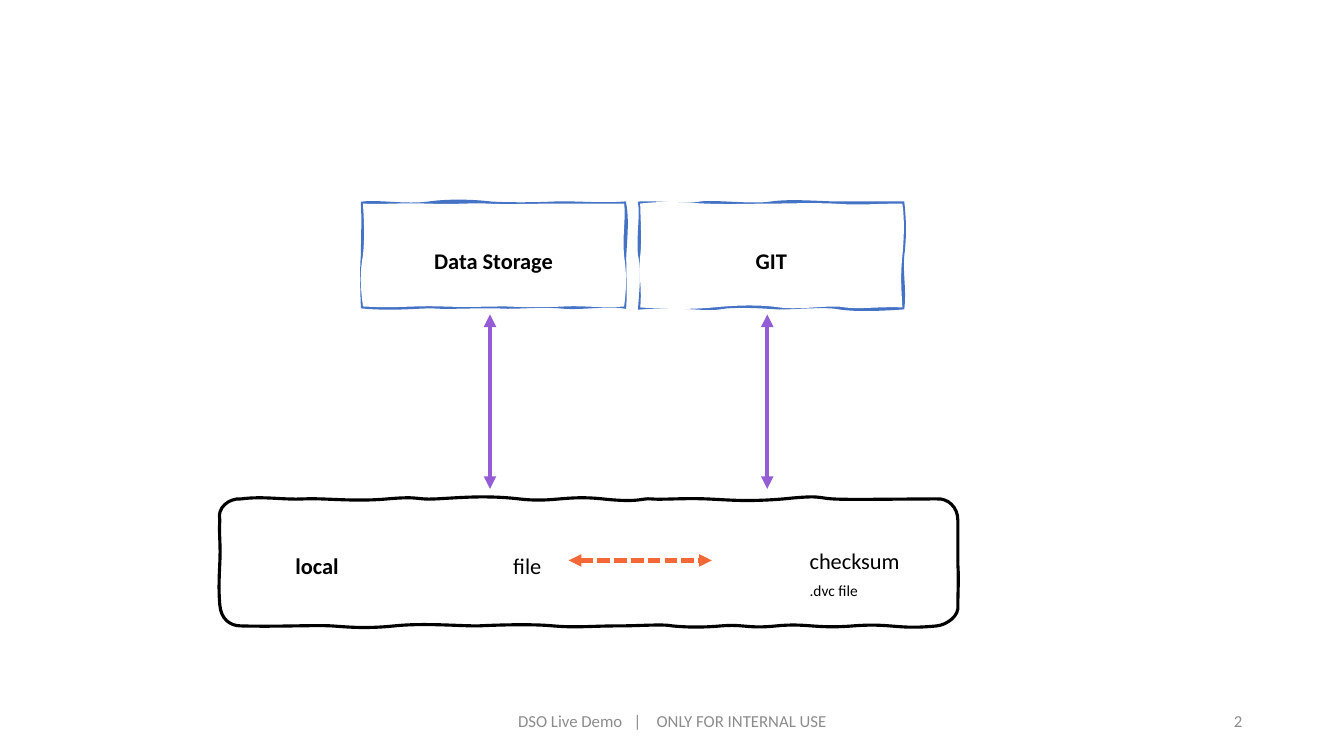
from lxml import etree
from pptx import Presentation
from pptx.dml.color import RGBColor
from pptx.enum.dml import MSO_LINE
from pptx.enum.shapes import MSO_CONNECTOR
from pptx.enum.text import MSO_ANCHOR, MSO_AUTO_SIZE, PP_ALIGN
from pptx.oxml.ns import qn
from pptx.util import Pt

PX = 9144  # 100 px to the inch
FONT = "Calibri"
LEFT, MID, RIGHT = PP_ALIGN.LEFT, PP_ALIGN.CENTER, PP_ALIGN.RIGHT
CENTER = MSO_ANCHOR.MIDDLE
GROW = MSO_AUTO_SIZE.SHAPE_TO_FIT_TEXT
STRAIGHT = MSO_CONNECTOR.STRAIGHT
DASH = MSO_LINE.SQUARE_DOT
BLACK, WHITE, GREY = "000000", "FFFFFF", "8C8C8C"
BLUE, PURPLE, ORANGE = "4472C4", "945DD6", "F46737"

# Hand-drawn outlines: a start point, then curves of two controls and an end
STORE_EDGE = [
    (0, 0),
    (15, -2, 43, 3, 65, 0), (86, -3, 111, -2, 127, 0),
    (143, 1, 169, 1, 189, 0), (209, -1, 235, 2, 259, 0),
    (262, 17, 260, 33, 259, 53), (259, 73, 260, 89, 259, 102),
    (241, 99, 218, 104, 197, 102), (176, 100, 152, 103, 137, 102),
    (123, 101, 86, 103, 72, 102), (59, 101, 34, 105, 0, 102),
    (-1, 79, -1, 63, 0, 51), (0, 39, 1, 14, 0, 0)]
STORE_FILL = [
    (0, 0),
    (24, 1, 32, -1, 65, 0), (97, 1, 106, -1, 124, 0),
    (143, 1, 164, 0, 192, 0), (220, 0, 234, 0, 259, 0),
    (261, 13, 257, 31, 259, 52), (262, 73, 261, 86, 259, 102),
    (235, 104, 220, 101, 200, 102), (180, 103, 165, 103, 142, 102),
    (120, 102, 106, 103, 78, 102), (49, 101, 36, 104, 0, 102),
    (-3, 79, -3, 69, 0, 51), (2, 32, 1, 18, 0, 0)]
GIT_EDGE = [
    (0, 0),
    (19, -1, 46, 3, 60, 0), (74, -2, 111, 3, 130, 0),
    (150, -3, 179, 0, 198, 0), (216, 0, 235, 0, 260, 0),
    (262, 18, 262, 34, 260, 50), (258, 67, 262, 83, 260, 103),
    (232, 105, 211, 105, 198, 103), (184, 100, 154, 103, 138, 103),
    (122, 102, 94, 100, 78, 103), (62, 105, 38, 100, 0, 103),
    (2, 78, 3, 66, 0, 51), (-2, 37, 2, 11, 0, 0)]
GIT_FILL = [
    (0, 0),
    (25, -3, 41, -1, 65, 0), (90, 1, 111, 0, 130, 0),
    (149, 0, 166, -1, 192, 0), (219, 2, 231, 0, 260, 0),
    (262, 13, 262, 32, 260, 52), (258, 73, 259, 83, 260, 103),
    (239, 102, 217, 105, 203, 103), (189, 100, 159, 106, 138, 103),
    (117, 100, 93, 101, 73, 103), (52, 105, 28, 105, 0, 103),
    (2, 84, -2, 70, 0, 52), (2, 35, 0, 11, 0, 0)]
LOCAL_EDGE = [
    (0, 21),
    (-3, 9, 9, -1, 21, 0), (44, -3, 61, 1, 83, 0),
    (105, -1, 132, 3, 166, 0), (200, -3, 193, 1, 214, 0),
    (235, -1, 263, -4, 297, 0), (331, 4, 342, -4, 380, 0),
    (417, 4, 418, -1, 428, 0), (438, 1, 460, -1, 483, 0),
    (506, 1, 522, 3, 559, 0), (597, -4, 592, -1, 608, 0),
    (623, 1, 677, 0, 711, 0), (722, -1, 732, 8, 732, 21),
    (732, 36, 732, 52, 732, 65), (733, 77, 732, 95, 732, 105),
    (734, 116, 721, 125, 711, 126), (671, 130, 667, 123, 628, 126),
    (590, 129, 582, 123, 552, 126), (523, 129, 520, 124, 497, 126),
    (475, 128, 459, 127, 449, 126), (439, 124, 417, 126, 394, 126),
    (370, 126, 353, 128, 331, 126), (310, 124, 277, 125, 256, 126),
    (235, 126, 202, 123, 173, 126), (144, 129, 126, 127, 111, 126),
    (95, 125, 59, 127, 21, 126), (10, 126, 1, 119, 0, 105),
    (-1, 93, -1, 84, 0, 64), (1, 43, -1, 36, 0, 21)]


def px(n):
    return round(n * PX)


def rgb(code):
    return RGBColor.from_string(code)


def bend(track, curves):
    """Redraw a path's segments as cubic curves."""
    for part in list(track):
        track.remove(part)
    for spot in curves:
        kind = "a:cubicBezTo" if len(spot) == 6 else "a:moveTo"
        step = etree.SubElement(track, qn(kind))
        for x, y in zip(spot[::2], spot[1::2]):
            etree.SubElement(step, qn("a:pt"), x=str(px(x)), y=str(px(y)))
    etree.SubElement(track, qn("a:close"))


def sketch(slide, x, y, edge, line, width, inner=None):
    """A wavy outline, with a white inside if one is given."""
    ends = [(px(x + c[-2]), px(y + c[-1])) for c in edge]
    pen = slide.shapes.build_freeform(*ends[0])
    pen.add_line_segments(ends[1:], close=True)
    shape = pen.convert_to_shape()
    shape.shadow.inherit = False
    shape.line.color.rgb = rgb(line)
    shape.line.width = Pt(width)
    etree.SubElement(shape.line._get_or_add_ln(), qn("a:miter"), lim="800000")
    track = next(shape._element.iter(qn("a:path")))
    bend(track, edge)
    if inner:
        shape.fill.solid()
        shape.fill.fore_color.rgb = rgb(WHITE)
        track.set("fill", "none")
        body = etree.SubElement(track.getparent(), qn("a:path"),
                                w=track.get("w"), h=track.get("h"), stroke="0")
        bend(body, inner)
    else:
        shape.fill.background()
    return shape


def write(para, text, size, color=BLACK, bold=False, align=LEFT, space=None):
    para.alignment = align
    para.line_spacing = space
    run = para.add_run()
    run.text = text
    font = run.font
    font.name, font.size, font.bold = FONT, Pt(size), bold
    font.color.rgb = rgb(color)


def label(slide, x, y, w, h, rows, bold=False):
    frame = slide.shapes.add_textbox(px(x), px(y), px(w), px(h)).text_frame
    frame.word_wrap = True
    frame.auto_size = GROW
    frame.margin_left = frame.margin_right = 0
    frame.margin_top = frame.margin_bottom = 0
    for i, (text, size) in enumerate(rows):
        para = frame.add_paragraph() if i else frame.paragraphs[0]
        write(para, text, size, bold=bold, space=1.4)


def arrow(slide, x1, y1, x2, y2, color, dash=None):
    link = slide.shapes.add_connector(STRAIGHT, px(x1), px(y1), px(x2), px(y2))
    link.line.color.rgb = rgb(color)
    link.line.width = Pt(3)
    if dash:
        link.line.dash_style = dash
    ln = link.line._get_or_add_ln()
    for end in ("a:headEnd", "a:tailEnd"):
        etree.SubElement(ln, qn(end), type="triangle")
    etree.SubElement(link._element.spPr, qn("a:effectLst"))


def remote(slide, x, y, name, edge, inner):
    """A remote store with its two-way arrow below."""
    frame = sketch(slide, x, y, edge, BLUE, 3, inner).text_frame
    frame.word_wrap = True
    frame.vertical_anchor = CENTER
    write(frame.paragraphs[0], name, 16, bold=True, align=MID, space=1.4)
    arrow(slide, x + 126, y + 110, x + 126, y + 283, PURPLE)


def local(slide, x, y):
    """The local box: a file linked to its checksum."""
    sketch(slide, x, y, LOCAL_EDGE, BLACK, 2.25)
    label(slide, x + 75, y + 42, 77, 35, [("local", 16)], bold=True)
    label(slide, x + 291, y + 42, 77, 35, [("file", 16)])
    label(slide, x + 585, y + 37, 106, 64, [("checksum", 16), (".dvc file", 11)])
    arrow(slide, x + 346, y + 61, x + 488, y + 61, ORANGE, DASH)


def footer(slide, y):
    parts = ((442, 450, "DSO Live Demo   |    ONLY FOR INTERNAL USE", MID),
             (942, 300, "2", RIGHT))
    for x, w, text, align in parts:
        frame = slide.shapes.add_textbox(px(x), px(y), px(w), px(40)).text_frame
        frame.word_wrap = True
        frame.vertical_anchor = CENTER
        write(frame.paragraphs[0], text, 12, GREY, align=align)


def main():
    deck = Presentation()
    deck.slide_width, deck.slide_height = px(1333), px(750)
    slide = deck.slides.add_slide(deck.slide_layouts[6])
    footer(slide, 695)
    remote(slide, 360, 202, "Data Storage", STORE_EDGE, STORE_FILL)
    remote(slide, 635, 202, "GIT", GIT_EDGE, GIT_FILL)
    local(slide, 218, 495)
    deck.save("out.pptx")


if __name__ == "__main__":
    main()
